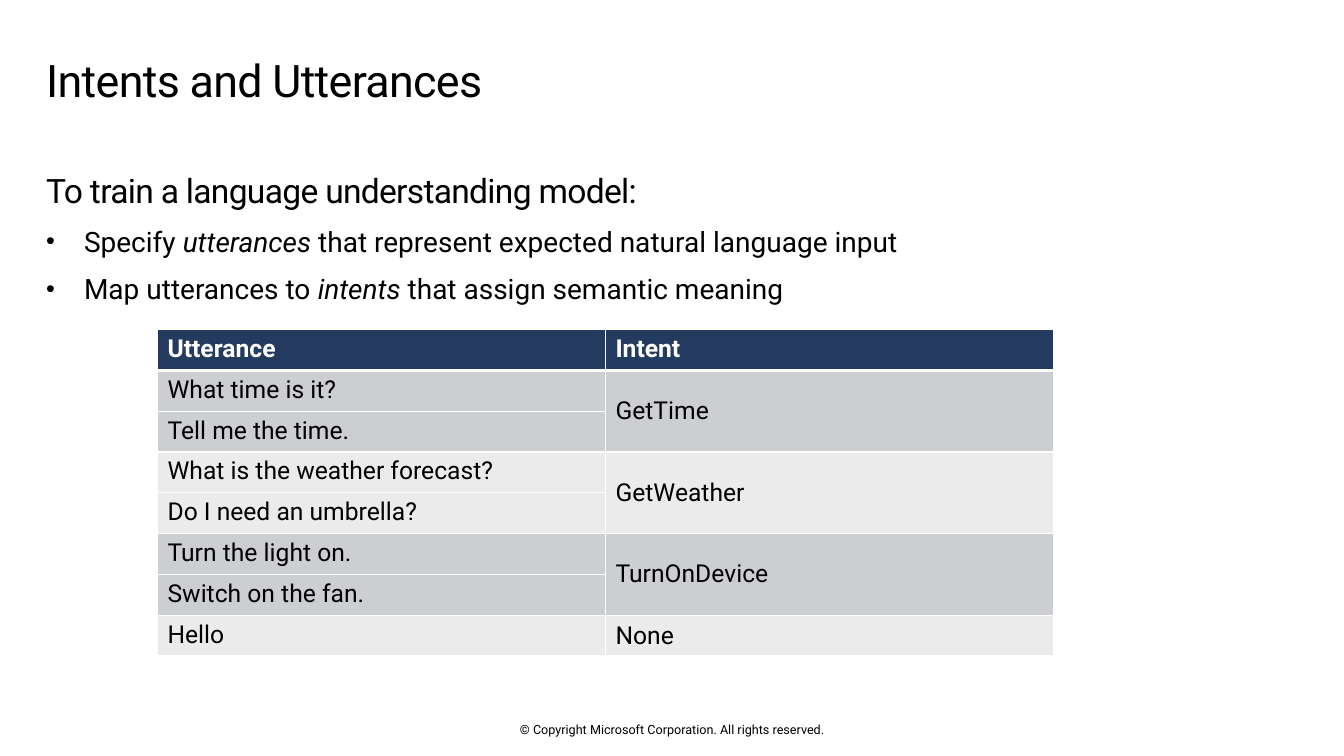
from lxml import etree
from pptx import Presentation
from pptx.dml.color import RGBColor
from pptx.enum.text import MSO_ANCHOR, MSO_AUTO_SIZE, PP_ALIGN
from pptx.oxml.ns import qn
from pptx.util import Pt

TOP, MIDDLE = MSO_ANCHOR.TOP, MSO_ANCHOR.MIDDLE
LEFT, CENTER = PP_ALIGN.LEFT, PP_ALIGN.CENTER
NO_AUTOFIT = MSO_AUTO_SIZE.NONE

BLACK = RGBColor(0x00, 0x00, 0x00)
WHITE = RGBColor(0xFF, 0xFF, 0xFF)
NAVY = RGBColor(0x24, 0x3A, 0x5E)
GRAY = RGBColor(0xCC, 0xCE, 0xD2)
LIGHT_GRAY = RGBColor(0xEB, 0xEB, 0xEB)

TITLE_INSETS = (0, 7.2, 11.5, 7.2)
BULLET_INDENT = 27
ROW_HEIGHT = 29.16

# Each intent with its sample utterances
INTENTS = [
    ("GetTime", ["What time is it?", "Tell me the time."]),
    ("GetWeather", ["What is the weather forecast?", "Do I need an umbrella?"]),
    ("TurnOnDevice", ["Turn the light on.", "Switch on the fan."]),
    ("None", ["Hello"]),
]


def set_attributes(target, values):
    for name, value in values.items():
        setattr(target, name, value)


class SlideBuilder:
    font_name = "Roboto"

    def __init__(self, slide):
        self.slide = slide

    def place(self, shape, box, insets, anchor):
        names = ("left", "top", "width", "height")
        set_attributes(shape, dict(zip(names, map(Pt, box))))
        names = ("margin_left", "margin_top", "margin_right", "margin_bottom")
        frame = shape.text_frame
        set_attributes(frame, dict(zip(names, map(Pt, insets))))
        set_attributes(frame, {"word_wrap": True, "auto_size": NO_AUTOFIT,
                               "vertical_anchor": anchor})
        return frame

    def add_text(self, paragraph, text, size, color=BLACK, spacing=0, **font):
        run = paragraph.add_run()
        run.text = text
        set_attributes(run.font, {"name": self.font_name, "size": Pt(size), **font})
        run.font.color.rgb = color
        if spacing:
            run._r.get_or_add_rPr().set("spc", str(round(spacing * 100)))

    def title(self, text, box):
        frame = self.place(self.slide.shapes.title, box, TITLE_INSETS, TOP)
        paragraph = frame.paragraphs[0]
        set_attributes(paragraph, {"alignment": LEFT, "line_spacing": 0.9})
        self.add_text(paragraph, text, 32, spacing=-0.5)

    def set_bullet(self, paragraph, character=None):
        properties = paragraph._p.get_or_add_pPr()
        indent = Pt(BULLET_INDENT) if character else 0
        properties.set("marL", str(indent))
        properties.set("indent", str(-indent))
        if character:
            etree.SubElement(properties, qn("a:buSzPct")).set("val", "90000")
            etree.SubElement(properties, qn("a:buFont")).set("typeface", "Arial")
            etree.SubElement(properties, qn("a:buChar")).set("char", character)
        else:
            etree.SubElement(properties, qn("a:buNone"))

    def body(self, lead, bullets, box):
        frame = self.place(self.slide.placeholders[1], box, TITLE_INSETS, TOP)
        paragraph = frame.paragraphs[0]
        set_attributes(paragraph, {"space_before": Pt(0), "space_after": Pt(5.9)})
        self.set_bullet(paragraph)
        self.add_text(paragraph, lead, 24, spacing=-0.5)
        for before, term, after in bullets:
            paragraph = frame.add_paragraph()
            set_attributes(paragraph, {"level": 1, "space_before": Pt(3.9),
                                       "space_after": Pt(5.9)})
            self.set_bullet(paragraph, "•")
            for text, italic in ((before, False), (term, True), (after, False)):
                self.add_text(paragraph, text, 20, italic=italic)

    def cell(self, cell, text, fill, color=BLACK, bold=False, anchor=TOP,
             top_border=1, bottom_border=1):
        cell.vertical_anchor = anchor
        properties = cell._tc.get_or_add_tcPr()
        borders = {"a:lnL": 1, "a:lnR": 1, "a:lnT": top_border, "a:lnB": bottom_border}
        for tag, width in borders.items():
            line = etree.SubElement(properties, qn(tag), w=str(Pt(width)))
            solid = etree.SubElement(line, qn("a:solidFill"))
            etree.SubElement(solid, qn("a:srgbClr")).set("val", str(WHITE))
        cell.fill.solid()
        cell.fill.fore_color.rgb = fill
        if text:
            self.add_text(cell.text_frame.paragraphs[0], text, 17.6, color, bold=bold)

    def intent_table(self, headings, intents, left, top, column_width):
        row_count = 1 + sum(len(utterances) for _, utterances in intents)
        frame = self.slide.shapes.add_table(
            row_count, 2, Pt(left), Pt(top), Pt(2 * column_width),
            Pt(row_count * ROW_HEIGHT))
        table = frame.table
        for column in table.columns:
            column.width = Pt(column_width)
        for row in table.rows:
            row.height = Pt(ROW_HEIGHT)
        for column, heading in enumerate(headings):
            self.cell(table.cell(0, column), heading, NAVY, WHITE, True,
                      bottom_border=3)
        row = 1
        for group, (intent, utterances) in enumerate(intents):
            fill = LIGHT_GRAY if group % 2 else GRAY
            first = row
            for utterance in utterances:
                border = 3 if row == 1 else 1
                label = intent if row == first else ""
                self.cell(table.cell(row, 0), utterance, fill, top_border=border)
                self.cell(table.cell(row, 1), label, fill, anchor=MIDDLE,
                          top_border=border)
                row += 1
            if len(utterances) > 1:
                table.cell(first, 1).merge(table.cell(row - 1, 1))

    def footer(self, text, box):
        shape = self.slide.shapes.add_textbox(*map(Pt, box))
        frame = self.place(shape, box, (0, 0, 0, 0), MIDDLE)
        paragraph = frame.paragraphs[0]
        paragraph.alignment = CENTER
        self.add_text(paragraph, text, 9)


def main():
    presentation = Presentation()
    presentation.slide_width, presentation.slide_height = Pt(960), Pt(540)
    slide = presentation.slides.add_slide(presentation.slide_layouts[1])
    builder = SlideBuilder(slide)

    # Title and list
    builder.title("Intents and Utterances", (33, 34.5, 893, 53.5))
    builder.body(
        "To train a language understanding model:",
        [("Specify ", "utterances", " that represent expected natural language input"),
         ("Map utterances to ", "intents", " that assign semantic meaning")],
        (33, 114.5, 893, 112.5))

    # Utterances mapped to intents
    builder.intent_table(("Utterance", "Intent"), INTENTS, 112.5, 235.5, 320)

    # Copyright line
    builder.footer("© Copyright Microsoft Corporation. All rights reserved.",
                   (318, 515.5, 324, 11))
    presentation.save("out.pptx")


if __name__ == "__main__":
    main()
